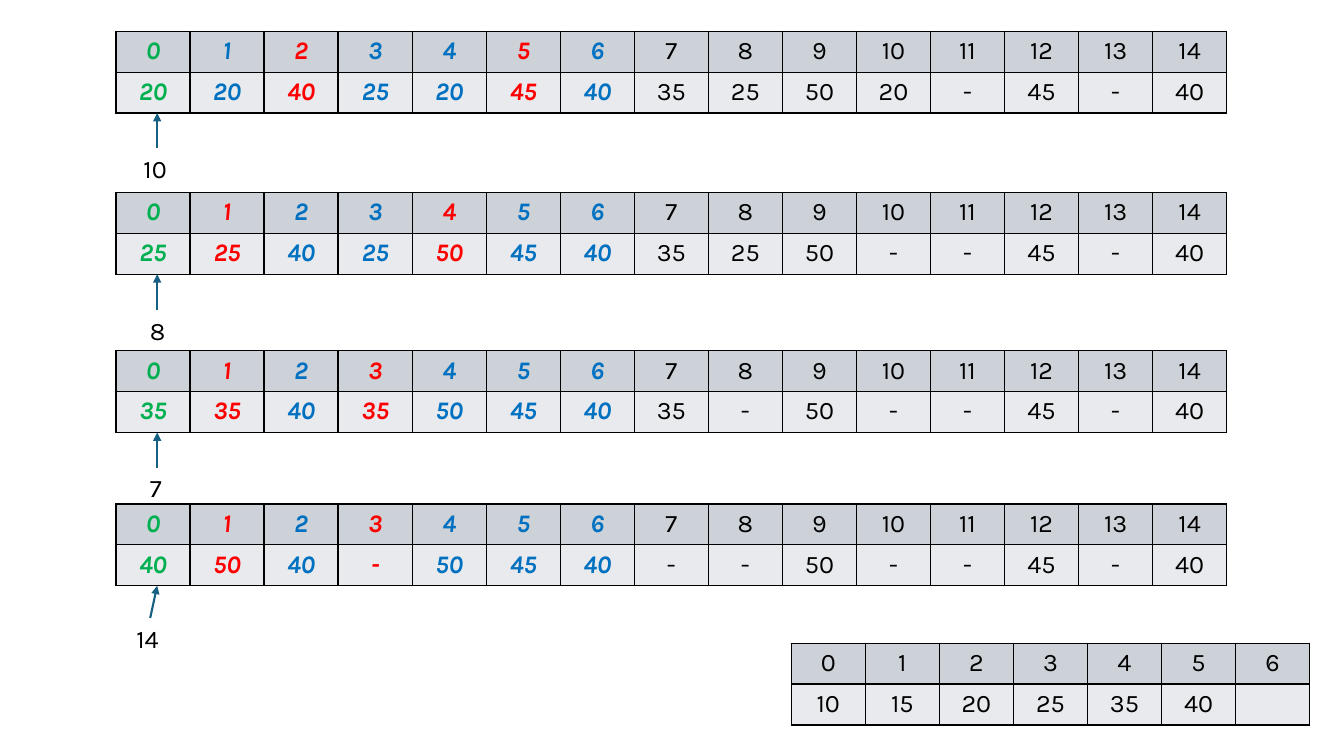
from lxml import etree
from pptx import Presentation
from pptx.dml.color import RGBColor
from pptx.enum.shapes import MSO_CONNECTOR
from pptx.enum.text import MSO_AUTO_SIZE, PP_ALIGN
from pptx.oxml import parse_xml
from pptx.oxml.ns import nsdecls, qn
from pptx.util import Pt

COLORS = {
    "root": "00B050", "heap": "0070C0", "swapped": "FF0000", "plain": "000000",
    "index_fill": "CCD2D8", "value_fill": "E8EAED", "border": "000000", "arrow": "156082",
}
ROLES = {"g": "root", "b": "heap", "r": "swapped"}

HEAP_LEFT, COLUMN, ROW = 82.8, 52.9, 29.2
ROOT_X = 112.3
LABEL_HEIGHT = 28.8

# table top, values, role of each highlighted cell, removed item, its centre x, its top
HEAP_STEPS = [
    (22.3, "20 20 40 25 20 45 40 35 25 50 20 - 45 - 40", "gbrbbrb", "10", ROOT_X, 105.8),
    (137.5, "25 25 40 25 50 45 40 35 25 50 - - 45 - 40", "grbbrbb", "8", ROOT_X, 221.8),
    (250.6, "35 35 40 35 50 45 40 35 - 50 - - 45 - 40", "grbrbbb", "7", ROOT_X, 334.1),
    (360, "40 50 40 - 50 45 40 - - 50 - - 45 - 40", "grbrbbb", "14", 107.3, 441.4),
]
SORTED_VALUES = ["10", "15", "20", "25", "35", "40", ""]


class HeapSlide:
    def __init__(self, slide, font="Karla", size=18):
        self.shapes = slide.shapes
        self.font = font
        self.size = size

    def style(self, paragraph, role="plain"):
        font = paragraph.font
        font.name, font.size = self.font, Pt(self.size)
        font.color.rgb = RGBColor.from_string(COLORS[role])
        font.bold = font.italic = role != "plain"

    def border(self, cell):
        properties = cell._tc.get_or_add_tcPr()
        for position, side in enumerate(("lnL", "lnR", "lnT", "lnB")):
            properties.insert(position, parse_xml(
                f'<a:{side} {nsdecls("a")} w="{Pt(1)}"><a:solidFill>'
                f'<a:srgbClr val="{COLORS["border"]}"/></a:solidFill></a:{side}>'))

    def array(self, left, top, values, roles=""):
        """Draw a row of indices above a row of values."""
        count = len(values)
        table = self.shapes.add_table(
            2, count, Pt(left), Pt(top), Pt(COLUMN * count), Pt(2 * ROW)).table
        for column in table.columns:
            column.width = Pt(COLUMN)
        rows = ((map(str, range(count)), "index_fill"), (values, "value_fill"))
        for r, (texts, fill) in enumerate(rows):
            table.rows[r].height = Pt(ROW)
            for c, text in enumerate(texts):
                cell = table.cell(r, c)
                cell.fill.solid()
                cell.fill.fore_color.rgb = RGBColor.from_string(COLORS[fill])
                self.border(cell)
                cell.text = text
                paragraph = cell.text_frame.paragraphs[0]
                paragraph.alignment = PP_ALIGN.CENTER
                self.style(paragraph, ROLES[roles[c]] if c < len(roles) else "plain")

    def label(self, text, center, top):
        width = 33.8 if len(text) == 2 else 24.5
        box = self.shapes.add_textbox(
            Pt(center - width / 2), Pt(top), Pt(width), Pt(LABEL_HEIGHT))
        frame = box.text_frame
        frame.word_wrap = False
        frame.auto_size = MSO_AUTO_SIZE.SHAPE_TO_FIT_TEXT
        frame.text = text
        self.style(frame.paragraphs[0])
        return box

    def arrow(self, source, x, y):
        """Point from the top of the source box to (x, y)."""
        connector = self.shapes.add_connector(
            MSO_CONNECTOR.STRAIGHT, source.left, source.top, Pt(x), Pt(y))
        connector.begin_connect(source, 0)
        connector.line.width = Pt(1.5)
        connector.line.color.rgb = RGBColor.from_string(COLORS["arrow"])
        line = connector.line._get_or_add_ln()
        etree.SubElement(line, qn("a:tailEnd"), type="triangle")
        etree.SubElement(connector._element.spPr, qn("a:effectLst"))


def main():
    deck = Presentation()
    deck.slide_width, deck.slide_height = Pt(960), Pt(540)
    heap_slide = HeapSlide(deck.slides.add_slide(deck.slide_layouts[6]))
    for top, values, roles, removed, center, removed_top in HEAP_STEPS:
        heap_slide.array(HEAP_LEFT, top, values.split(), roles)
        removed_label = heap_slide.label(removed, center, removed_top)
        heap_slide.arrow(removed_label, ROOT_X, top + 2 * ROW)
    heap_slide.array(565.2, 459.4, SORTED_VALUES)
    deck.save("out.pptx")


if __name__ == "__main__":
    main()
